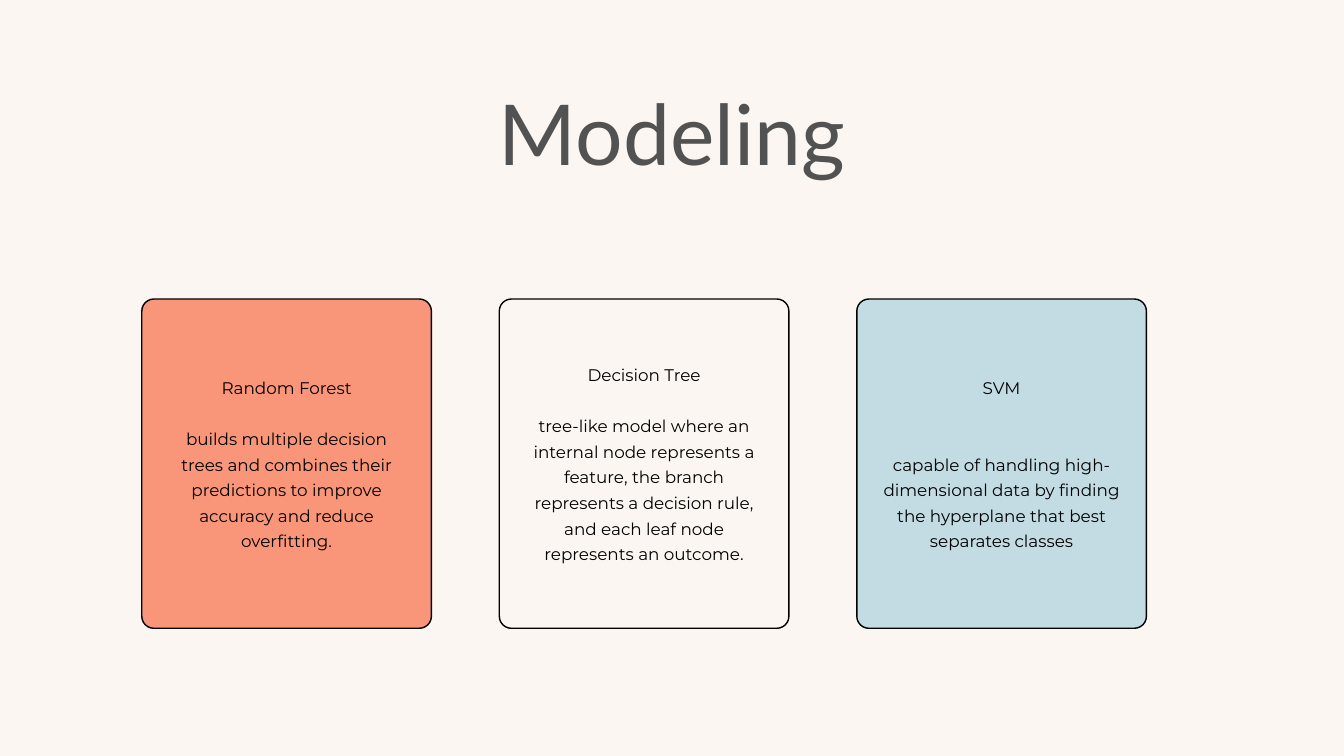
from pptx import Presentation
from pptx.dml.color import RGBColor
from pptx.enum.shapes import MSO_SHAPE
from pptx.enum.text import MSO_ANCHOR, MSO_AUTO_SIZE, PP_ALIGN
from pptx.util import Inches, Pt

COLORS = {
    "background": "FBF6F1",
    "heading": "525252",
    "ink": "000000",
    "coral": "F99679",
    "cream": "FBF6F1",
    "blue": "C3DCE4",
}

# Card grid, in inches
SLIDE_W, SLIDE_H = 20, 11.25
GRID_LEFT, GRID_TOP = 2.11, 4.45
CARD_W, CARD_H = 4.31, 4.9
COLUMN_STEP = 5.32
CORNER = 0.18
TEXT_INSET = 0.33
TEXT_CENTRE = 6.87
LINE_PITCH = 27.4  # points

# Model, description, card colour, lines of text, lines between the two parts
MODELS = [
    ("Random Forest",
     "builds multiple decision trees and combines their predictions "
     "to improve accuracy and reduce overfitting.",
     "coral", 7, 1),
    ("Decision Tree",
     "tree-like model where an internal node represents a feature, the branch "
     "represents a decision rule, and each leaf node represents an outcome.",
     "cream", 8, 1),
    ("SVM",
     "capable of handling high-dimensional data by finding the hyperplane "
     "that best separates classes",
     "blue", 7, 2),
]


def color(name):
    return RGBColor.from_string(COLORS[name])


def prepare_frame(frame):
    frame.word_wrap = True
    frame.auto_size = MSO_AUTO_SIZE.NONE
    frame.vertical_anchor = MSO_ANCHOR.TOP
    frame.margin_left = frame.margin_right = 0
    frame.margin_top = frame.margin_bottom = 0


def write(paragraph, text, font, size, color_name, line_spacing):
    paragraph.text = text
    paragraph.alignment = PP_ALIGN.CENTER
    paragraph.line_spacing = Pt(line_spacing)
    paragraph.font.name = font
    paragraph.font.size = Pt(size)
    paragraph.font.color.rgb = color(color_name)


def add_heading(slide, text):
    heading = slide.shapes.title
    heading.left, heading.top = Inches(GRID_LEFT), Inches(1.48)
    heading.width, heading.height = Inches(SLIDE_W - 2 * GRID_LEFT), Inches(1.3)
    prepare_frame(heading.text_frame)
    write(heading.text_frame.paragraphs[0], text, "Lato", 90, "heading", 89.1)


def add_card(slide, left, fill):
    card = slide.shapes.add_shape(
        MSO_SHAPE.ROUNDED_RECTANGLE,
        Inches(left), Inches(GRID_TOP), Inches(CARD_W), Inches(CARD_H))
    card.adjustments[0] = CORNER / CARD_W
    card.shadow.inherit = False
    card.fill.solid()
    card.fill.fore_color.rgb = color(fill)
    card.line.color.rgb = color("ink")
    card.line.width = Pt(1.5)


def add_model_text(slide, left, model, description, lines, gap_lines):
    height = lines * LINE_PITCH / 72
    box = slide.shapes.add_textbox(
        Inches(left + TEXT_INSET), Inches(TEXT_CENTRE - height / 2),
        Inches(CARD_W - 2 * TEXT_INSET), Inches(height))
    frame = box.text_frame
    prepare_frame(frame)
    write(frame.paragraphs[0], model, "Montserrat", 18, "ink", LINE_PITCH)
    body = frame.add_paragraph()
    write(body, description, "Montserrat", 18, "ink", LINE_PITCH)
    body.space_before = Pt(gap_lines * LINE_PITCH)


def main():
    prs = Presentation()
    prs.slide_width, prs.slide_height = Inches(SLIDE_W), Inches(SLIDE_H)
    slide = prs.slides.add_slide(prs.slide_layouts[5])
    slide.background.fill.solid()
    slide.background.fill.fore_color.rgb = color("background")

    add_heading(slide, "Modeling")

    # One card per model
    for column, (model, description, fill, lines, gap_lines) in enumerate(MODELS):
        left = GRID_LEFT + column * COLUMN_STEP
        add_card(slide, left, fill)
        add_model_text(slide, left, model, description, lines, gap_lines)

    prs.save("out.pptx")


if __name__ == "__main__":
    main()
